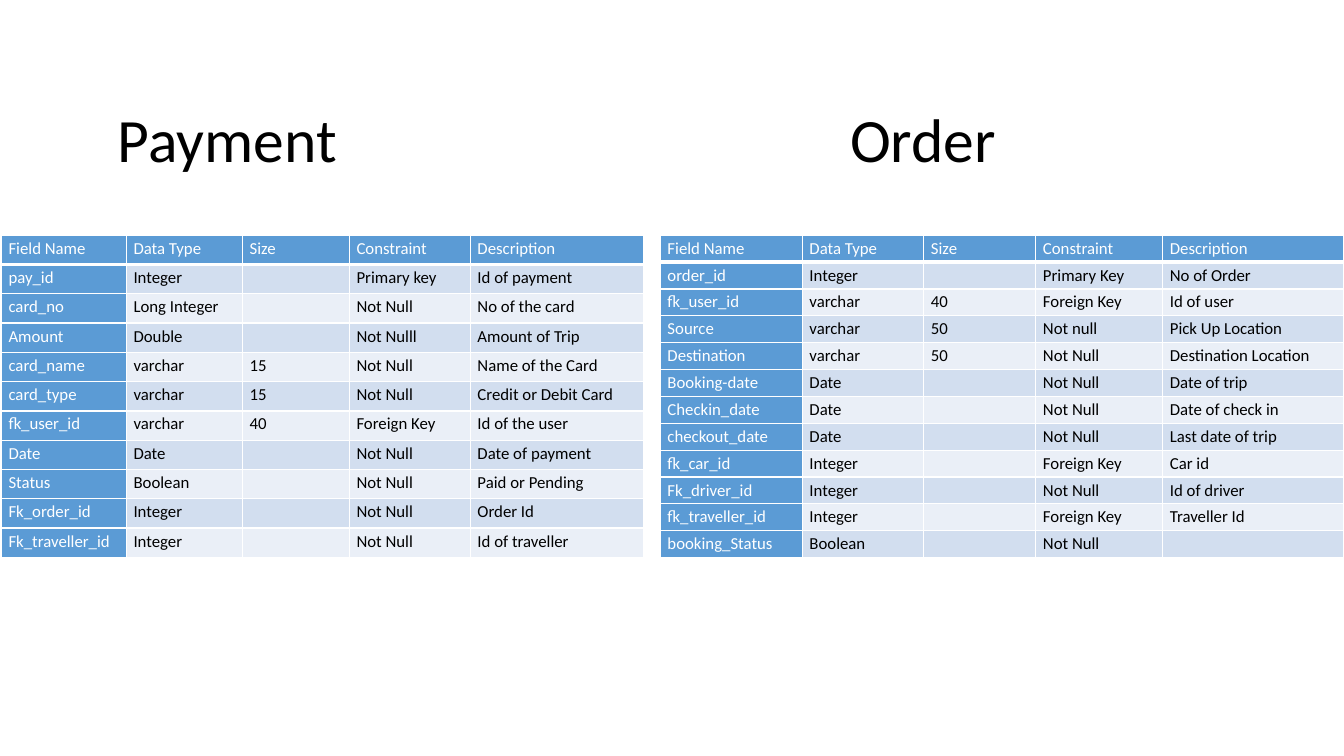
from dataclasses import dataclass

from lxml.etree import SubElement
from pptx import Presentation
from pptx.dml.color import RGBColor
from pptx.enum.text import MSO_ANCHOR, MSO_AUTO_SIZE, PP_ALIGN
from pptx.oxml.ns import qn
from pptx.util import Pt


@dataclass(frozen=True)
class Theme:
    """Colours, font and type sizes of the slide."""
    font: str = "Calibri"
    title_size: int = 44
    table_size: int = 12
    black: str = "000000"
    white: str = "FFFFFF"
    header: str = "5B9BD5"
    bands: tuple = ("D2DEEF", "EAEFF7")


THEME = Theme()
HEADINGS = ("Field Name", "Data Type", "Size", "Constraint", "Description")
PAYMENT_FIELDS = (
    ("pay_id", "Integer", "", "Primary key", "Id of payment"),
    ("card_no", "Long Integer", "", "Not Null", "No of the card"),
    ("Amount", "Double", "", "Not Nulll", "Amount of Trip"),
    ("card_name", "varchar", "15", "Not Null", "Name of the Card"),
    ("card_type", "varchar", "15", "Not Null", "Credit or Debit Card"),
    ("fk_user_id", "varchar", "40", "Foreign Key", "Id of the user"),
    ("Date", "Date", "", "Not Null", "Date of payment"),
    ("Status", "Boolean", "", "Not Null", "Paid or Pending"),
    ("Fk_order_id", "Integer", "", "Not Null", "Order Id"),
    ("Fk_traveller_id", "Integer", "", "Not Null", "Id of traveller"),
)
ORDER_FIELDS = (
    ("order_id", "Integer", "", "Primary Key", "No of Order"),
    ("fk_user_id", "varchar", "40", "Foreign Key", "Id of user"),
    ("Source", "varchar", "50", "Not null", "Pick Up Location"),
    ("Destination", "varchar", "50", "Not Null", "Destination Location"),
    ("Booking-date", "Date", "", "Not Null", "Date of trip"),
    ("Checkin_date", "Date", "", "Not Null", "Date of check in"),
    ("checkout_date", "Date", "", "Not Null", "Last date of trip"),
    ("fk_car_id", "Integer", "", "Foreign Key", "Car id"),
    ("Fk_driver_id", "Integer", "", "Not Null", "Id of driver"),
    ("fk_traveller_id", "Integer", "", "Foreign Key", "Traveller Id"),
    ("booking_Status", "Boolean", "", "Not Null", ""),
)


def write_text(paragraph, text, size, color, line_spacing=1.0, space_after=0):
    """Write formatted text, or size the paragraph when the text is empty."""
    paragraph.alignment = PP_ALIGN.LEFT
    paragraph.line_spacing = line_spacing
    paragraph.space_after = Pt(space_after)
    if not text:
        SubElement(paragraph._p, qn("a:endParaRPr"), sz=str(size * 100))
        return
    run = paragraph.add_run()
    run.text = text
    run.font.name = THEME.font
    run.font.size = Pt(size)
    run.font.bold = False
    run.font.color.rgb = RGBColor.from_string(color)


def add_borders(cell, color, bottom=1):
    """Draw the four borders of a cell, with a chosen bottom width."""
    properties = cell._tc.get_or_add_tcPr()
    for side, width in (("L", 1), ("R", 1), ("T", 1), ("B", bottom)):
        line = SubElement(properties, qn(f"a:ln{side}"), w=str(Pt(width)))
        fill = SubElement(line, qn("a:solidFill"))
        SubElement(fill, qn("a:srgbClr"), val=color)


def format_cell(cell, text, row, column):
    """Fill in one cell according to its place in the table."""
    is_heading = row == 0 or column == 0
    cell.margin_left = cell.margin_right = Pt(5.2)
    cell.margin_top = cell.margin_bottom = Pt(0)
    add_borders(cell, THEME.white, bottom=3 if row == 0 else 1)
    cell.fill.solid()
    cell.fill.fore_color.rgb = RGBColor.from_string(
        THEME.header if is_heading else THEME.bands[(row - 1) % 2])
    write_text(cell.text_frame.paragraphs[0], text, size=THEME.table_size,
               color=THEME.white if is_heading else THEME.black,
               line_spacing=1.15, space_after=10)


def add_field_table(slide, fields, left, top, height, widths):
    """Add a table of database fields with equal rows in the given box."""
    rows = (HEADINGS, *fields)
    shape = slide.shapes.add_table(len(rows), len(HEADINGS), Pt(left), Pt(top),
                                   Pt(sum(widths)), Pt(height))
    table = shape.table
    table.first_col = True
    for column, width in zip(table.columns, widths):
        column.width = Pt(width)
    for row_index, values in enumerate(rows):
        table.rows[row_index].height = Pt(height / len(rows))
        for column_index, text in enumerate(values):
            format_cell(table.cell(row_index, column_index), text,
                        row_index, column_index)


def add_titles(slide, names, left, top, width, height, tab):
    """Set the table names side by side in the title, spaced by a tab stop."""
    title = slide.shapes.title
    title.left, title.top = Pt(left), Pt(top)
    title.width, title.height = Pt(width), Pt(height)
    frame = title.text_frame
    frame.word_wrap = True
    frame.auto_size = MSO_AUTO_SIZE.NONE
    frame.vertical_anchor = MSO_ANCHOR.MIDDLE
    paragraph = frame.paragraphs[0]
    write_text(paragraph, "\t".join(names), size=THEME.title_size,
               color=THEME.black, line_spacing=0.9)
    stops = SubElement(paragraph._p.get_or_add_pPr(), qn("a:tabLst"))
    SubElement(stops, qn("a:tab"), pos=str(Pt(tab)), algn="l")


def build_schema_slide(presentation):
    """Add the slide that shows the payment and order tables."""
    slide = presentation.slides.add_slide(presentation.slide_layouts[5])
    add_titles(slide, ("Payment", "Order"), left=77, top=49.7, width=828,
               height=104.4, tab=523)
    add_field_table(slide, ORDER_FIELDS, left=471.6, top=168, height=230.4,
                    widths=(101.4, 86.8, 80, 90.7, 129.3))
    add_field_table(slide, PAYMENT_FIELDS, left=0.9, top=168, height=230.4,
                    widths=(89.3, 82.9, 76.4, 86.4, 123.6))


def main():
    """Build and save the presentation."""
    presentation = Presentation()
    presentation.slide_width, presentation.slide_height = Pt(960), Pt(540)
    build_schema_slide(presentation)
    presentation.save("out.pptx")


if __name__ == "__main__":
    main()
